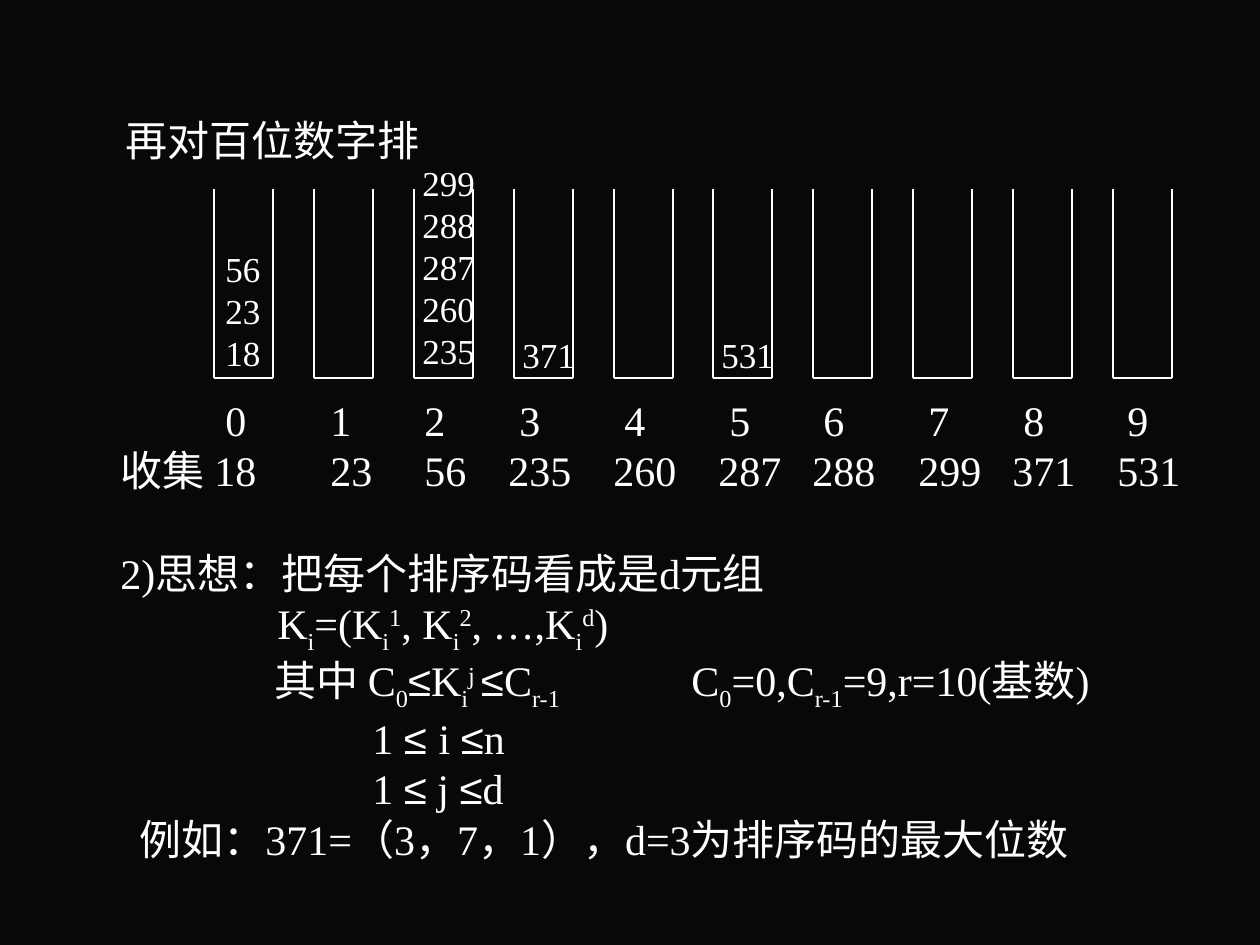
import dataclasses
import typing

import pptx
import pptx.dml.color
import pptx.enum.shapes
import pptx.enum.text
import pptx.oxml.ns
import pptx.util
from lxml import etree

EMU_PER_PX = 914400 / 126
WHITE = "FFFFFF"
SERIF, SANS = "Times New Roman", "Arial"
BASELINES = {"_": "-25000", "^": "30000"}

BIN_COUNT = 10
BIN_LEFT, BIN_TOP, BIN_BOTTOM, BIN_WIDTH = 214, 189, 378, 59
BIN_SPAN = 899  # from the first bin to the last
ROW_LEFT = 108


@dataclasses.dataclass
class Line:
    """A line of text: '|' parts runs, a leading '_' lowers and '^' raises one."""
    text: str
    tabs: typing.Sequence[int] = ()


@dataclasses.dataclass
class BinContent:
    index: int
    offset: int
    top: int
    width: int
    numbers: typing.Sequence[str]


def px(length: float) -> pptx.util.Emu:
    return pptx.util.Emu(round(length * EMU_PER_PX))


def color(code: str) -> pptx.dml.color.RGBColor:
    return pptx.dml.color.RGBColor.from_string(code)


def set_tabs(paragraph, stops: typing.Sequence[int]) -> None:
    tab_list = etree.SubElement(paragraph._p.get_or_add_pPr(), pptx.oxml.ns.qn("a:tabLst"))
    for stop in stops:
        tab = etree.SubElement(tab_list, pptx.oxml.ns.qn("a:tab"))
        tab.set("pos", str(px(stop)))
        tab.set("algn", "l")


def write_text(shape, lines: typing.Sequence[Line], *, size: int = 24, wrap: bool = False) -> None:
    frame = shape.text_frame
    frame.word_wrap = wrap
    frame.auto_size = pptx.enum.text.MSO_AUTO_SIZE.NONE
    frame.vertical_anchor = pptx.enum.text.MSO_ANCHOR.TOP
    for number, line in enumerate(lines):
        paragraph = frame.add_paragraph() if number else frame.paragraphs[0]
        paragraph.alignment = pptx.enum.text.PP_ALIGN.LEFT
        if line.tabs:
            set_tabs(paragraph, line.tabs)
        for part in line.text.split("|"):
            baseline = BASELINES.get(part[0])
            run = paragraph.add_run()
            run.text = part[1:] if baseline else part
            run.font.size = pptx.util.Pt(size)
            run.font.name = SANS if part.startswith("≤") else SERIF
            run.font.color.rgb = color(WHITE)
            if baseline:
                run._r.get_or_add_rPr().set("baseline", baseline)


def add_text(slide, left: int, top: int, width: int, height: int,
             lines: typing.Sequence[Line], **text_format) -> None:
    box = slide.shapes.add_textbox(px(left), px(top), px(width), px(height))
    write_text(box, lines, **text_format)


def add_line(slide, x1: int, y1: int, x2: int, y2: int) -> None:
    line = slide.shapes.add_connector(
        pptx.enum.shapes.MSO_CONNECTOR.STRAIGHT, px(x1), px(y1), px(x2), px(y2))
    line.line.color.rgb = color(WHITE)
    line.line.width = pptx.util.Pt(1)
    etree.SubElement(line._element.spPr, pptx.oxml.ns.qn("a:effectLst"))


def bin_left(index: int) -> int:
    return BIN_LEFT + round(index * BIN_SPAN / (BIN_COUNT - 1))


def add_bin(slide, index: int) -> None:
    left = bin_left(index)
    right = left + BIN_WIDTH
    add_line(slide, left, BIN_TOP, left, BIN_BOTTOM)
    add_line(slide, right, BIN_TOP, right, BIN_BOTTOM)
    add_line(slide, left, BIN_BOTTOM, right, BIN_BOTTOM)


CONTENTS = [
    BinContent(0, -1, 241, 60, ["56", "23", "18"]),
    BinContent(2, -4, 155, 77, ["299", "288", "287", "260", "235"]),
    BinContent(3, -4, 327, 77, ["371"]),
    BinContent(5, -4, 327, 77, ["531"]),
]

# Bin digits and the collected numbers, each at its own tab stop
DIGIT_STOPS = [105, 210, 304, 399, 504, 609, 703, 808, 903, 1007]
COLLECTED_STOPS = [94, 210, 304, 388, 493, 598, 692, 798, 892, 997]
COLLECTED = ["18", "23", "56", "235", "260", "287", "288", "299", "371", "531"]
ROWS = [
    Line("".join(f"\t{digit}" for digit in range(BIN_COUNT)), DIGIT_STOPS),
    Line("\t".join(["收集", *COLLECTED]), COLLECTED_STOPS),
]

IDEA = [
    Line("2)思想：把每个排序码看成是d元组"),
    Line("\tK|_i|=(K|_i|^1|, K|_i|^2|, …,K|_i|^d|)", [157]),
    Line("\t其中 C|_0|≤|K|_i|^j |≤|C|_r-1|\tC|_0|=0,C|_r-1|=9,r=10(基数)", [154, 571]),
    Line("\t1 |≤ |i |≤|n", [252]),
    Line("\t1 |≤| j |≤|d", [252]),
    Line("\t例如：371=（3，7，1），d=3为排序码的最大位数", [19]),
]


def main() -> None:
    deck = pptx.Presentation()
    deck.slide_width, deck.slide_height = px(1260), px(945)
    slide = deck.slides.add_slide(deck.slide_layouts[5])
    slide.background.fill.solid()
    slide.background.fill.fore_color.rgb = color("080808")

    # Heading, with room to stay on one line
    heading = slide.shapes.title
    heading.left, heading.top = px(113), px(108)
    heading.width, heading.height = px(345), px(63)
    write_text(heading, [Line("再对百位数字排")])

    # Bins and the numbers in them
    for index in range(BIN_COUNT):
        add_bin(slide, index)
    for content in CONTENTS:
        add_text(slide, bin_left(content.index) + content.offset, content.top,
                 content.width, 13 + 42 * len(content.numbers),
                 [Line(number) for number in content.numbers], size=20)

    # Digits with collected numbers, then the idea
    add_text(slide, ROW_LEFT, 388, 1095, 113, ROWS, wrap=True)
    add_text(slide, ROW_LEFT, 541, 1090, 329, IDEA, wrap=True)

    deck.save("out.pptx")


if __name__ == "__main__":
    main()
